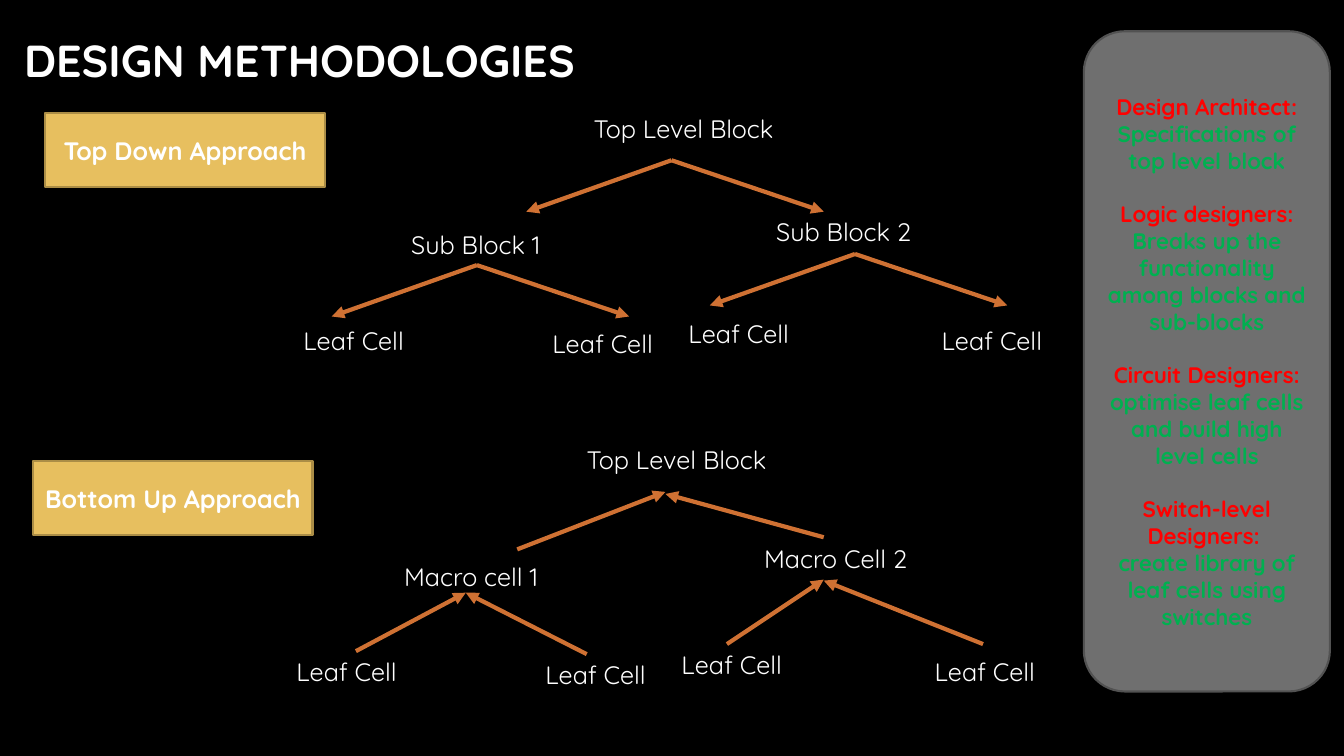
from dataclasses import dataclass

from lxml import etree
from pptx import Presentation
from pptx.dml.color import RGBColor
from pptx.enum.shapes import MSO_CONNECTOR, MSO_SHAPE
from pptx.enum.text import MSO_ANCHOR, PP_ALIGN
from pptx.oxml.ns import qn
from pptx.util import Emu, Pt

PX = 9144  # EMU per px, 100 px to the inch
RECTANGLE, ROUNDED = MSO_SHAPE.RECTANGLE, MSO_SHAPE.ROUNDED_RECTANGLE
STRAIGHT = MSO_CONNECTOR.STRAIGHT
TOP, MIDDLE = MSO_ANCHOR.TOP, MSO_ANCHOR.MIDDLE
LEFT, CENTER = PP_ALIGN.LEFT, PP_ALIGN.CENTER


@dataclass(frozen=True)
class Theme:
    font: str = "Quicksand"
    background: str = "000000"
    text: str = "FFFFFF"
    arrow: str = "CF7133"
    label_fill: str = "E7BF5F"
    label_line: str = "AB8D46"
    panel_fill: str = "6F6F6F"
    panel_line: str = "525252"
    role: str = "FF0000"
    task: str = "00B050"
    title_size: int = 32
    body_size: int = 18
    panel_size: int = 16
    panel_gap: int = 19
    arrow_width: float = 3
    outline_width: float = 1.5


class SlideBuilder:
    def __init__(self, slide, theme):
        self.slide = slide
        self.theme = theme
        fill = slide.background.fill
        fill.solid()
        fill.fore_color.rgb = RGBColor.from_string(theme.background)

    def run(self, paragraph, text, size, color, bold=False):
        run = paragraph.add_run()
        run.text = text
        run.font.name = self.theme.font
        run.font.size = Pt(size)
        run.font.bold = bold
        run.font.color.rgb = RGBColor.from_string(color)

    def paragraph(self, frame, first, align):
        paragraph = frame.paragraphs[0] if first else frame.add_paragraph()
        paragraph.alignment = align
        return paragraph

    def text(self, box, text, size=None, bold=False, anchor=TOP):
        shape = self.slide.shapes.add_textbox(*(Emu(n * PX) for n in box))
        frame = shape.text_frame
        frame.word_wrap = True
        frame.vertical_anchor = anchor
        paragraph = self.paragraph(frame, True, LEFT)
        self.run(paragraph, text, size or self.theme.body_size, self.theme.text, bold)

    def block(self, kind, box, fill, line):
        """Draw a filled, outlined shape and return its text frame."""
        shape = self.slide.shapes.add_shape(kind, *(Emu(n * PX) for n in box))
        shape.shadow.inherit = False
        shape.fill.solid()
        shape.fill.fore_color.rgb = RGBColor.from_string(fill)
        shape.line.color.rgb = RGBColor.from_string(line)
        shape.line.width = Pt(self.theme.outline_width)
        frame = shape.text_frame
        frame.word_wrap = True
        frame.vertical_anchor = MIDDLE
        return frame

    def label(self, box, text):
        theme = self.theme
        frame = self.block(RECTANGLE, box, theme.label_fill, theme.label_line)
        paragraph = self.paragraph(frame, True, CENTER)
        self.run(paragraph, text, theme.body_size, theme.text, True)

    def panel(self, box, paragraphs):
        """Each paragraph is a role, a task or both; a role opens a new group."""
        theme = self.theme
        frame = self.block(ROUNDED, box, theme.panel_fill, theme.panel_line)
        for index, (role, task) in enumerate(paragraphs):
            paragraph = self.paragraph(frame, index == 0, CENTER)
            if role and index:
                paragraph.space_before = Pt(theme.panel_gap)
            for text, color in ((role, theme.role), (task, theme.task)):
                if text:
                    self.run(paragraph, text, theme.panel_size, color, True)

    def arrow(self, start, end):
        points = (Emu(n * PX) for n in (*start, *end))
        connector = self.slide.shapes.add_connector(STRAIGHT, *points)
        connector.line.color.rgb = RGBColor.from_string(self.theme.arrow)
        connector.line.width = Pt(self.theme.arrow_width)
        line = connector.line._get_or_add_ln()
        etree.SubElement(line, qn("a:tailEnd"), type="triangle")
        etree.SubElement(connector._element.spPr, qn("a:effectLst"))


TITLE_BOX = (14, 11, 1083, 97)
PANEL_BOX = (1075, 31, 244, 655)
LABEL_SIZE = (277, 74)
TEXT_HEIGHT = 40
BLOCK_WIDTH, LEAF_WIDTH = 338, 138

TOP_BLOCK = (579, 108)
LEAVES = [(291, 318), (538, 321), (673, 311), (924, 318)]
BOTTOM_SHIFT = (-7, 328)

# Every split in the top-down tree has the same two branches.
SPLITS = [(666, 159), (473, 263), (848, 252)]
BRANCHES = [(-144, 51), (151, 51)]

# In the bottom-up tree each pair of arrows meets under its parent.
MERGES = [
    ((513, 545), (660, 488)), ((817, 533), (660, 490)),
    ((353, 646), (462, 588)), ((582, 649), (462, 588)),
    ((721, 639), (817, 575)), ((975, 639), (817, 576)),
]

TREES = [
    ("Top Down Approach", (45, 112), (0, 0),
     [("Sub Block 1", (398, 223)), ("Sub Block 2", (760, 210))]),
    ("Bottom Up Approach", (33, 457), BOTTOM_SHIFT,
     [("Macro cell 1", (391, 552)), ("Macro Cell 2", (748, 534))]),
]

ROLES = [
    ("Design Architect: ", "Specifications of top level block"),
    ("Logic designers: ", "Breaks up the functionality among blocks and sub-blocks"),
    ("Circuit Designers: ", "optimise leaf cells and build high level cells"),
    ("Switch-level Designers: ", None),
    (None, "create library of leaf cells using switches"),
]


def shifted(point, offset):
    return point[0] + offset[0], point[1] + offset[1]


def main():
    presentation = Presentation()
    presentation.slide_width = Emu(1333 * PX)
    presentation.slide_height = Emu(750 * PX)
    slide = presentation.slides.add_slide(presentation.slide_layouts[6])
    theme = Theme()
    builder = SlideBuilder(slide, theme)

    builder.text(TITLE_BOX, "DESIGN METHODOLOGIES", theme.title_size, True, MIDDLE)
    for approach, corner, shift, middle_blocks in TREES:
        builder.label((*corner, *LABEL_SIZE), approach)
        for name, place in [("Top Level Block", shifted(TOP_BLOCK, shift)), *middle_blocks]:
            builder.text((*place, BLOCK_WIDTH, TEXT_HEIGHT), name)
        for leaf in LEAVES:
            builder.text((*shifted(leaf, shift), LEAF_WIDTH, TEXT_HEIGHT), "Leaf Cell")

    for split in SPLITS:
        for branch in BRANCHES:
            builder.arrow(split, shifted(split, branch))
    for start, end in MERGES:
        builder.arrow(start, end)
    builder.panel(PANEL_BOX, ROLES)

    presentation.save("out.pptx")


if __name__ == "__main__":
    main()
